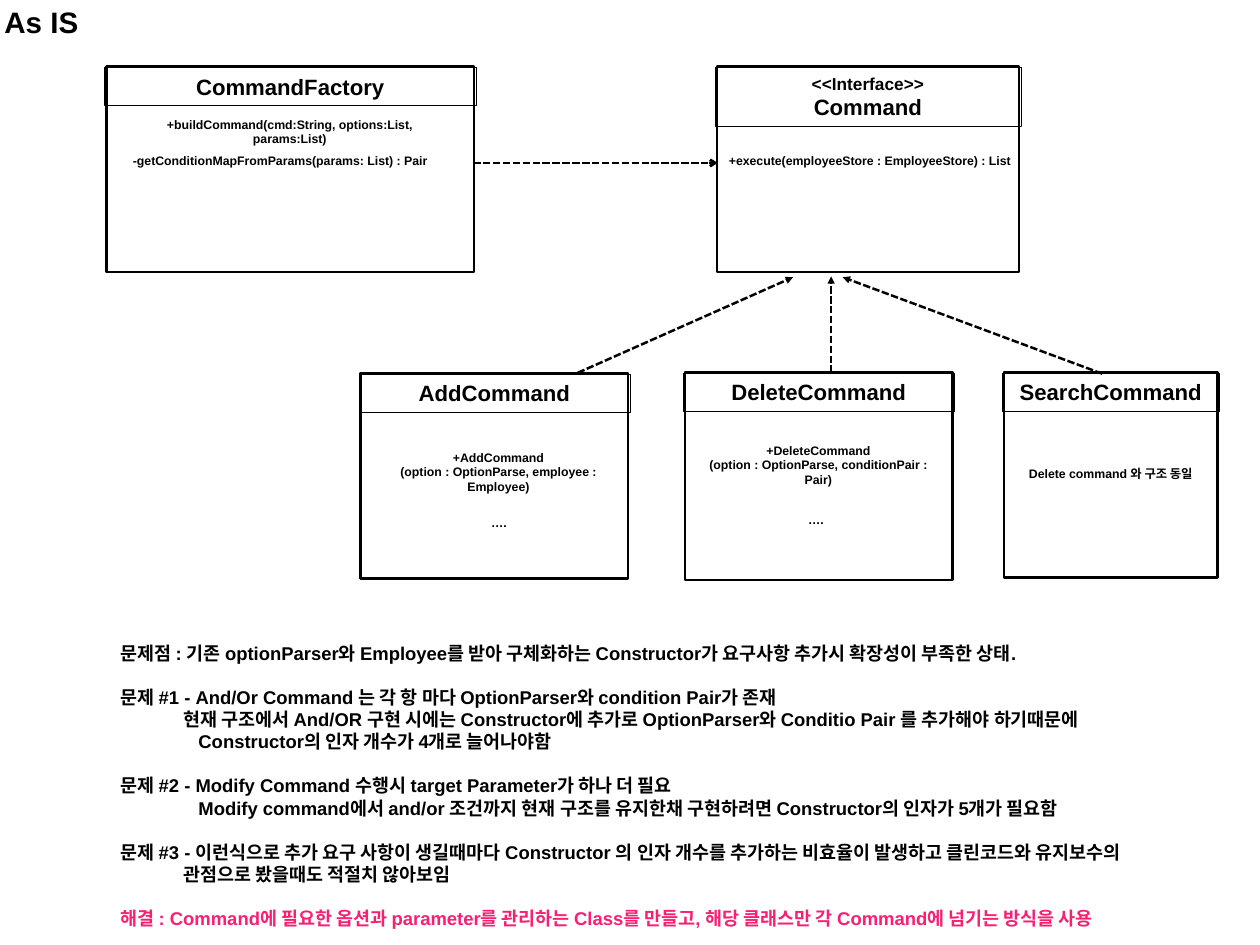
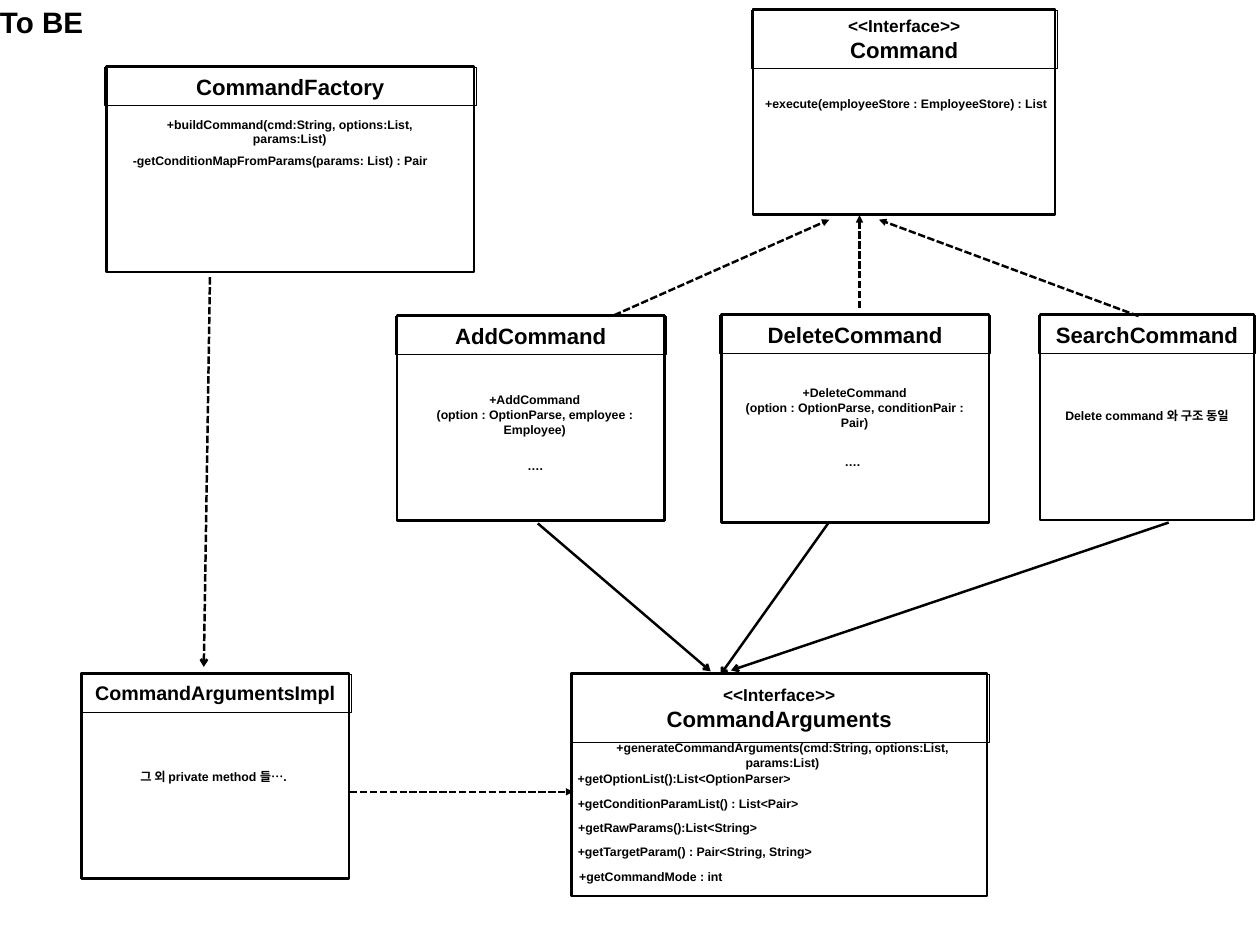
from lxml.etree import SubElement
from pptx import Presentation
from pptx.dml.color import RGBColor
from pptx.enum.dml import MSO_LINE
from pptx.enum.shapes import MSO_CONNECTOR, MSO_SHAPE
from pptx.enum.text import MSO_ANCHOR, MSO_AUTO_SIZE, PP_ALIGN
from pptx.oxml.ns import qn
from pptx.util import Pt

PX = 9144
BLACK = RGBColor(0x00, 0x00, 0x00)
PINK = RGBColor(0xFC, 0x1E, 0x70)
FONT = "Arial"
INSET = 6
HEADER_HEIGHT = 43
BLANK_LINE = 18
STEREOTYPE = ("<<Interface>>", 14)

ISSUES = [
    (0, 0, "문제점 : 기존 optionParser와 Employee를 받아 구체화하는 Constructor가 요구사항 추가시 확장성이 부족한 상태."),
    (0, BLANK_LINE, "문제 #1 - And/Or Command 는 각 항 마다 OptionParser와 condition Pair가 존재"),
    (71, 0, "현재 구조에서 And/OR 구현 시에는 Constructor에 추가로 OptionParser와 Conditio Pair 를 추가해야 하기때문에"),
    (88, 0, "Constructor의 인자 개수가 4개로 늘어나야함"),
    (0, BLANK_LINE, "문제 #2 - Modify Command 수행시 target Parameter가 하나 더 필요"),
    (88, 0, "Modify command에서 and/or 조건까지 현재 구조를 유지한채 구현하려면 Constructor의 인자가 5개가 필요함"),
    (0, BLANK_LINE, "문제 #3 - 이런식으로 추가 요구 사항이 생길때마다 Constructor 의 인자 개수를 추가하는 비효율이 발생하고 클린코드와 유지보수의"),
    (71, 0, "관점으로 봤을때도 적절치 않아보임"),
]
SOLUTION = "해결 : Command에 필요한 옵션과 parameter를 관리하는 Class를 만들고, 해당 클래스만 각 Command에 넘기는 방식을 사용"

FACTORY_MEMBERS = [
    (20, 60, 374, 27, ["+buildCommand(cmd:String, options:List, params:List)"]),
    (22, 93, 348, 27, ["-getConditionMapFromParams(params: List) : Pair"]),
]
COMMAND_MEMBERS = [(7, 93, 331, 27, ["+execute(employeeStore : EmployeeStore) : List"])]
ADD_MEMBERS = [
    (3, 90, 305, 44, ["+AddCommand", "(option : OptionParse, employee : Employee)"]),
    (141, 156, 30, 27, ["…."]),
]
DELETE_MEMBERS = [
    (6, 83, 289, 44, ["+DeleteCommand", "(option : OptionParse, conditionPair : Pair)"]),
    (133, 153, 30, 27, ["…."]),
]
SEARCH_MEMBERS = [(22, 100, 197, 29, ["Delete command 와 구조 동일"])]
ARGUMENTS_MEMBERS = [
    (2, 79, 472, 27, ["+generateCommandArguments(cmd:String, options:List, params:List)"]),
    (0, 106, 254, 27, ["+getOptionList():List<OptionParser>"]),
    (0, 134, 263, 27, ["+getConditionParamList() : List<Pair>"]),
    (0, 161, 217, 27, ["+getRawParams():List<String>"]),
    (0, 188, 278, 27, ["+getTargetParam() : Pair<String, String>"]),
    (0, 216, 179, 27, ["+getCommandMode : int"]),
]
IMPL_MEMBERS = [(60, 102, 178, 29, ["그 외 private method 들…."])]


def px(*lengths):
    """Turn px lengths into EMU."""
    return [length * PX for length in lengths]


def setup_frame(frame, wrap, auto_size):
    """Set the insets, anchor and wrapping shared by all text."""
    inset = INSET * PX
    settings = {
        "margin_left": inset, "margin_right": inset,
        "margin_top": inset, "margin_bottom": inset,
        "vertical_anchor": MSO_ANCHOR.MIDDLE,
        "word_wrap": wrap, "auto_size": auto_size,
    }
    for name, value in settings.items():
        setattr(frame, name, value)


def write_line(frame, index, text, size, align=PP_ALIGN.CENTER, color=BLACK):
    """Write one bold paragraph and return it."""
    paragraph = frame.paragraphs[0] if index == 0 else frame.add_paragraph()
    paragraph.alignment = align
    run = paragraph.add_run()
    run.text = text
    for name, value in {"name": FONT, "size": Pt(size), "bold": True}.items():
        setattr(run.font, name, value)
    run.font.color.rgb = color
    return paragraph


def add_label(slide, left, top, width, height, lines, size=10, align=PP_ALIGN.CENTER):
    """Add an unwrapped text box."""
    frame = slide.shapes.add_textbox(*px(left, top, width, height)).text_frame
    setup_frame(frame, False, MSO_AUTO_SIZE.SHAPE_TO_FIT_TEXT)
    for index, line in enumerate(lines):
        write_line(frame, index, line, size, align)


def add_outline(group, left, top, width, height, weight):
    """Add an unfilled black rectangle to a group."""
    rectangle = group.shapes.add_shape(MSO_SHAPE.RECTANGLE, *px(left, top, width, height))
    rectangle.shadow.inherit = False
    rectangle.fill.background()
    rectangle.line.color.rgb = BLACK
    rectangle.line.width = Pt(weight)
    return rectangle


def add_class(slide, box, heading, members, header_height=HEADER_HEIGHT):
    """Draw a class box with its header and members placed from its corner."""
    left, top, width, height = box
    group = slide.shapes.add_group_shape()
    add_outline(group, left, top, width, height, 2)
    header = add_outline(group, left - 2, top + 1, width + 4, header_height, 0.25)
    setup_frame(header.text_frame, True, MSO_AUTO_SIZE.NONE)
    for index, (text, size) in enumerate(heading):
        write_line(header.text_frame, index, text, size)
    for dx, dy, member_width, member_height, lines in members:
        add_label(slide, left + dx, top + dy, member_width, member_height, lines)


def add_arrow(slide, start, end, head="triangle", dashed=True):
    """Draw a black arrow between two points."""
    arrow = slide.shapes.add_connector(MSO_CONNECTOR.STRAIGHT, *px(*start, *end))
    arrow.line.color.rgb = BLACK
    arrow.line.width = Pt(2)
    if dashed:
        arrow.line.dash_style = MSO_LINE.SQUARE_DOT
    SubElement(arrow.line._get_or_add_ln(), qn("a:tailEnd"), type=head)
    SubElement(arrow._element.spPr, qn("a:effectLst"))


def add_hierarchy(slide, left, top, delete_arrow):
    """Draw the command interface and its three classes from a corner."""
    classes = [
        ((402, 0, 341, 232), [STEREOTYPE, ("Command", 18)], COMMAND_MEMBERS, 66),
        ((0, 346, 302, 232), [("AddCommand", 18)], ADD_MEMBERS, HEADER_HEIGHT),
        ((366, 345, 302, 235), [("DeleteCommand", 18)], DELETE_MEMBERS, HEADER_HEIGHT),
        ((726, 345, 241, 232), [("SearchCommand", 18)], SEARCH_MEMBERS, HEADER_HEIGHT),
    ]
    for (dx, dy, width, height), heading, members, header_height in classes:
        add_class(slide, (left + dx, top + dy, width, height), heading, members, header_height)
    for start, end in [((245, 346), (488, 238)), delete_arrow, ((837, 347), (544, 238))]:
        add_arrow(slide, (left + start[0], top + start[1]), (left + end[0], top + end[1]))


def add_issues(slide, left, top, width, height):
    """Write the list of problems and the solution."""
    frame = slide.shapes.add_textbox(*px(left, top, width, height)).text_frame
    setup_frame(frame, True, MSO_AUTO_SIZE.SHAPE_TO_FIT_TEXT)
    for index, (indent, gap, text) in enumerate(ISSUES):
        paragraph = write_line(frame, index, text, 15, PP_ALIGN.LEFT)
        paragraph.space_before = Pt(gap)
        paragraph._p.get_or_add_pPr().set("marL", str(indent * PX))
    solution = write_line(frame, len(ISSUES), SOLUTION, 15, PP_ALIGN.LEFT, PINK)
    solution.space_before = Pt(BLANK_LINE)


def start_slide(deck, title, title_left, title_width):
    """Add a slide with its title and the factory class."""
    slide = deck.slides.add_slide(deck.slide_layouts[6])
    add_label(slide, title_left, 0, title_width, 50, [title], 24, PP_ALIGN.LEFT)
    add_class(slide, (120, 75, 415, 232), [("CommandFactory", 18)], FACTORY_MEMBERS)
    return slide


def build_as_is(deck):
    """Build the slide of the present structure."""
    slide = start_slide(deck, "As IS", -1, 103)
    add_hierarchy(slide, 407, 75, ((531, 346), (531, 237)))
    add_arrow(slide, (534, 184), (810, 184), "arrow")
    add_issues(slide, 130, 698, 1210, 378)


def build_to_be(deck):
    """Build the slide of the planned structure."""
    slide = start_slide(deck, "To BE", -6, 113)
    add_hierarchy(slide, 448, 10, ((522, 338), (522, 233)))
    add_class(slide, (645, 760, 469, 252), [STEREOTYPE, ("CommandArguments", 18)],
              ARGUMENTS_MEMBERS, 77)
    add_class(slide, (92, 760, 302, 232), [("CommandArgumentsImpl", 16)], IMPL_MEMBERS)
    add_arrow(slide, (395, 894), (647, 894))
    add_arrow(slide, (237, 313), (230, 753), "arrow")
    for start, end in [((607, 591), (802, 758)), ((936, 589), (813, 762)),
                       ((1319, 590), (825, 757))]:
        add_arrow(slide, start, end, "arrow", dashed=False)


def main():
    """Build and save the deck."""
    deck = Presentation()
    deck.slide_width, deck.slide_height = px(1422, 1067)
    build_as_is(deck)
    build_to_be(deck)
    deck.save("out.pptx")


if __name__ == "__main__":
    main()
